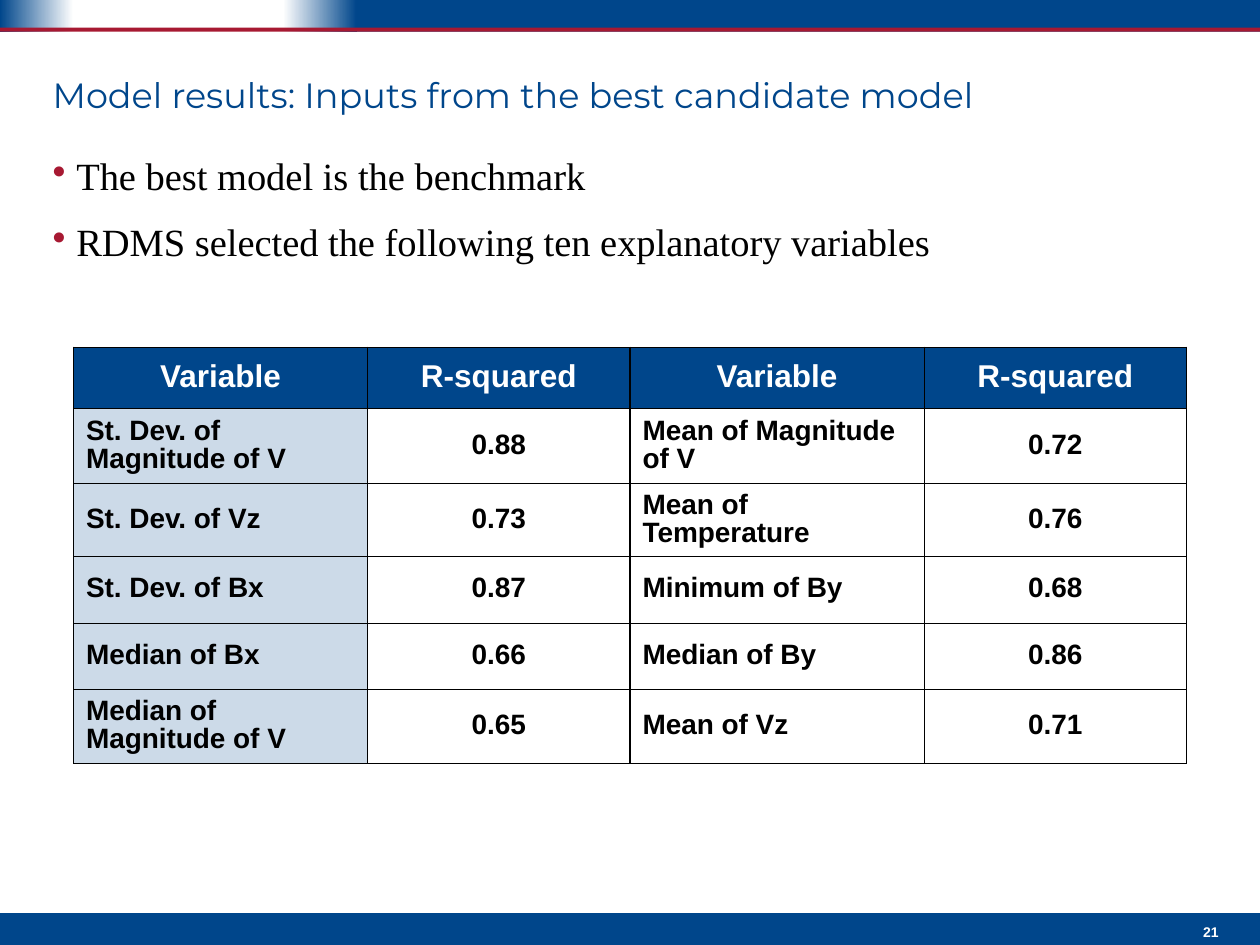
from typing import NamedTuple, Optional

from lxml.etree import SubElement
from pptx import Presentation
from pptx.dml.color import RGBColor
from pptx.enum.shapes import MSO_SHAPE
from pptx.enum.text import MSO_ANCHOR, PP_ALIGN
from pptx.oxml.ns import qn
from pptx.util import Cm, Pt

BLUE = RGBColor(0x00, 0x46, 0x8B)
PALE_BLUE = RGBColor(0xCC, 0xDA, 0xE8)
RED = RGBColor(0xA7, 0x19, 0x32)
WHITE = RGBColor(0xFF, 0xFF, 0xFF)
BLACK = RGBColor(0x00, 0x00, 0x00)

THIN, THICK = Pt(0.23), Pt(1.47)


class Band(NamedTuple):
    left: float
    top: float
    width: float
    height: float
    start: RGBColor
    end: Optional[RGBColor] = None  # given only for a gradient


class TextStyle(NamedTuple):
    font: str
    size: float
    color: RGBColor
    bold: bool = False
    align: PP_ALIGN = PP_ALIGN.LEFT


BANDS = [
    Band(7.19, 0, 18.21, 0.64, BLUE),
    Band(0, 18.41, 25.4, 0.64, BLUE),
    Band(0, 0, 1.48, 0.64, BLUE, WHITE),
    Band(5.71, 0, 1.48, 0.64, WHITE, BLUE),
    Band(0, 0.56, 25.4, 0.08, RED),
]

TITLE = TextStyle("Montserrat", 20, BLUE)
BODY = TextStyle("Times New Roman", 22, BLACK)
PAGE_NUMBER = TextStyle("Arial", 8, WHITE, True, PP_ALIGN.RIGHT)
HEADER = TextStyle("Arial", 18, WHITE, True, PP_ALIGN.CENTER)
VARIABLE = TextStyle("Arial", 16, BLACK, True)
VALUE = VARIABLE._replace(align=PP_ALIGN.CENTER)

COLUMN_WIDTHS = [5.93, 5.29, 5.93, 5.29]
ROW_HEIGHTS = [1.24, 1.51, 1.47, 1.34, 1.34, 1.49]
ROWS = [
    ("Variable", "R-squared", "Variable", "R-squared"),
    ("St. Dev. of Magnitude of V", "0.88", "Mean of Magnitude of V", "0.72"),
    ("St. Dev. of Vz", "0.73", "Mean of Temperature", "0.76"),
    ("St. Dev. of Bx", "0.87", "Minimum of By", "0.68"),
    ("Median of Bx", "0.66", "Median of By", "0.86"),
    ("Median of Magnitude of V", "0.65", "Mean of Vz", "0.71"),
]


def add_band(slide, band: Band) -> None:
    shape = slide.shapes.add_shape(
        MSO_SHAPE.RECTANGLE, Cm(band.left), Cm(band.top), Cm(band.width), Cm(band.height)
    )
    shape.shadow.inherit = False
    shape.line.fill.background()
    if band.end is None:
        shape.fill.solid()
        shape.fill.fore_color.rgb = band.start
        return
    shape.fill.gradient()
    shape.fill.gradient_angle = 0
    for stop, color in zip(shape.fill.gradient_stops, (band.start, band.end)):
        stop.color.rgb = color


def format_paragraph(paragraph, style: TextStyle) -> None:
    paragraph.alignment = style.align
    for run in paragraph.runs:
        run.font.name = style.font
        run.font.size = Pt(style.size)
        run.font.bold = style.bold
        run.font.color.rgb = style.color


def add_text(slide, left: float, top: float, width: float, height: float,
             text: str, style: TextStyle, anchor=MSO_ANCHOR.TOP):
    text_frame = slide.shapes.add_textbox(Cm(left), Cm(top), Cm(width), Cm(height)).text_frame
    text_frame.word_wrap = True
    text_frame.vertical_anchor = anchor
    text_frame.margin_left = text_frame.margin_right = 0
    text_frame.margin_top = text_frame.margin_bottom = 0
    text_frame.text = text
    for paragraph in text_frame.paragraphs:
        format_paragraph(paragraph, style)
    return text_frame


def add_bullets(text_frame) -> None:
    for index, paragraph in enumerate(text_frame.paragraphs):
        properties = paragraph._p.get_or_add_pPr()
        properties.set("marL", str(Cm(0.48)))
        properties.set("indent", str(-Cm(0.48)))
        bullet_color = SubElement(properties, qn("a:buClr"))
        SubElement(bullet_color, qn("a:srgbClr"), val=str(RED))
        SubElement(properties, qn("a:buChar"), char="•")
        paragraph.line_spacing = 0.9
        if index:
            paragraph.space_before = Pt(13.8)


def set_border(cell, side: str, width: int) -> None:
    properties = cell._tc.get_or_add_tcPr()
    line = SubElement(properties, qn(f"a:ln{side}"), w=str(width))
    fill = SubElement(line, qn("a:solidFill"))
    SubElement(fill, qn("a:srgbClr"), val=str(BLACK))


def fill_cell(cell, text: str, row: int, column: int) -> None:
    # The thick rule runs between the two halves of the table
    thick_side = {1: "R", 2: "L"}.get(column)
    for side in "LRTB":
        set_border(cell, side, THICK if side == thick_side else THIN)

    if row == 0:
        style, color = HEADER, BLUE
    else:
        style = VALUE if column % 2 else VARIABLE
        color = PALE_BLUE if column == 0 else None
    if color is None:
        cell.fill.background()
    else:
        cell.fill.solid()
        cell.fill.fore_color.rgb = color

    cell.vertical_anchor = MSO_ANCHOR.MIDDLE
    cell.text_frame.text = text
    paragraph = cell.text_frame.paragraphs[0]
    paragraph.line_spacing = 0.9
    format_paragraph(paragraph, style)


def add_results_table(slide) -> None:
    table = slide.shapes.add_table(
        len(ROWS), len(COLUMN_WIDTHS), Cm(1.48), Cm(6.99),
        Cm(sum(COLUMN_WIDTHS)), Cm(sum(ROW_HEIGHTS))
    ).table
    table.first_row = table.horz_banding = False
    for column, width in zip(table.columns, COLUMN_WIDTHS):
        column.width = Cm(width)
    for row, height in zip(table.rows, ROW_HEIGHTS):
        row.height = Cm(height)
    for row, texts in enumerate(ROWS):
        for column, text in enumerate(texts):
            fill_cell(table.cell(row, column), text, row, column)


def main() -> None:
    presentation = Presentation()
    presentation.slide_width = Cm(25.4)
    presentation.slide_height = Cm(19.05)
    slide = presentation.slides.add_slide(presentation.slide_layouts[6])

    # Header and footer bands
    for band in BANDS:
        add_band(slide, band)

    # Title and bullets
    add_text(slide, 1.06, 1.48, 23.28, 2.12,
             "Model results: Inputs from the best candidate model", TITLE)
    body = add_text(slide, 1.06, 3.18, 23.28, 13.97,
                    "The best model is the benchmark\n"
                    "RDMS selected the following ten explanatory variables", BODY)
    add_bullets(body)

    # Table of variables
    add_results_table(slide)

    # Page number
    add_text(slide, 24.21, 18.62, 0.36, 0.33, "21", PAGE_NUMBER, MSO_ANCHOR.MIDDLE)

    presentation.save("out.pptx")


if __name__ == "__main__":
    main()
